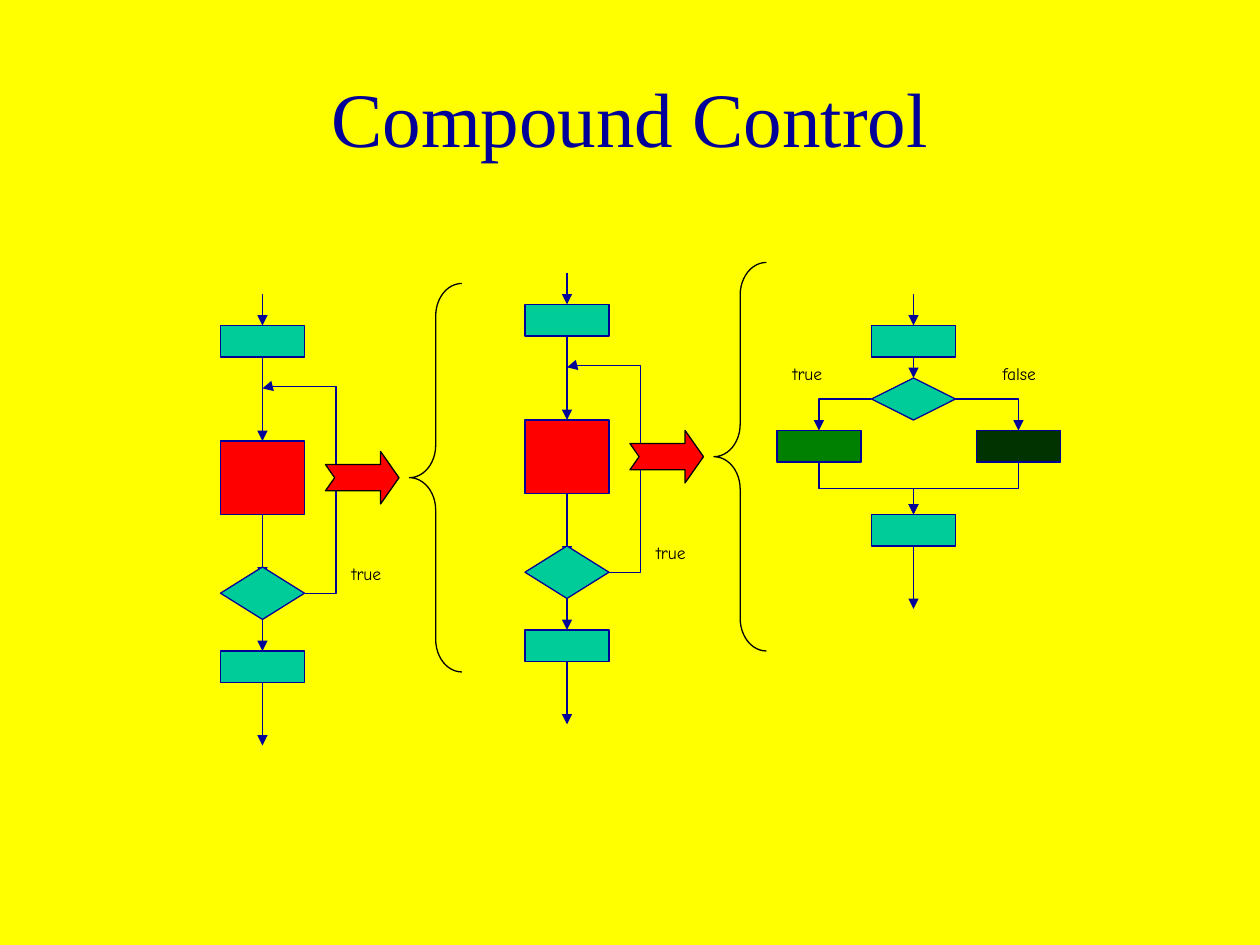
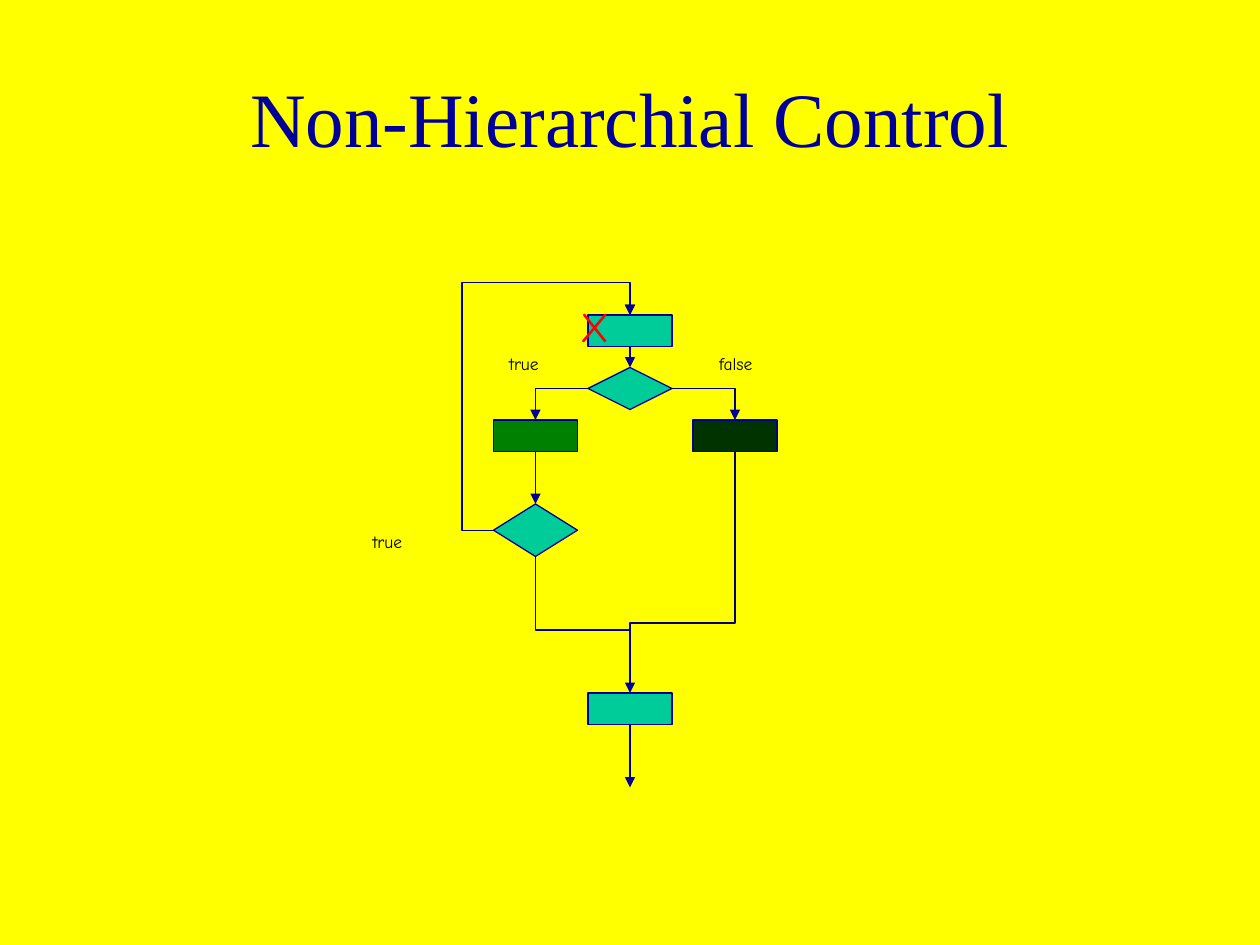
from pptx import Presentation
from pptx.dml.color import RGBColor
from pptx.enum.shapes import MSO_CONNECTOR as Connector, MSO_SHAPE as Preset
from pptx.enum.text import MSO_ANCHOR as Anchor, MSO_AUTO_SIZE as AutoSize, PP_ALIGN as Align
from pptx.oxml.ns import qn
from pptx.util import Inches, Pt
from lxml.etree import SubElement

YELLOW = RGBColor(0xFF, 0xFF, 0x00)
NAVY = RGBColor(0x00, 0x00, 0x99)
TEAL = RGBColor(0x00, 0xCC, 0x99)
RED = RGBColor(0xFF, 0x00, 0x00)
GREEN = RGBColor(0x00, 0x80, 0x00)
DARK_GREEN = RGBColor(0x00, 0x33, 0x00)
BLACK = RGBColor(0x00, 0x00, 0x00)

WIDTH, HEIGHT = Inches(10), Inches(7.5)
CELL = WIDTH // 120
TITLE_FONT, LABEL_FONT = "Times New Roman", "Comic Neue"
LINE_WIDTH = Pt(0.75)
BOX_WIDTH, BOX_HEIGHT = 8, 3
TOP, LEFT, BOTTOM, RIGHT = range(4)
SITES = ((0.5, 0), (0, 0.5), (0.5, 1), (1, 0.5))


class Region:
    """A part of a slide whose parts are placed in grid cells from its corner."""

    def __init__(self, slide, column, row):
        """Remember the slide and the corner of the region."""
        self.shapes = slide.shapes
        self.column, self.row = column, row

    def point(self, column, row):
        """Return the slide position of a cell of the region."""
        return round((self.column + column) * CELL), round((self.row + row) * CELL)

    def add_shape(self, preset, column, row, width, height, fill, line=NAVY):
        """Draw a preset shape; no fill colour leaves it open."""
        shape = self.shapes.add_shape(
            preset, *self.point(column, row), width * CELL, height * CELL)
        shape.shadow.inherit = False
        if fill is None:
            shape.fill.background()
        else:
            shape.fill.solid()
            shape.fill.fore_color.rgb = fill
        shape.line.color.rgb = line
        shape.line.width = LINE_WIDTH
        return shape

    def add_box(self, column, row, fill=TEAL, height=BOX_HEIGHT):
        """Draw a process step."""
        return self.add_shape(
            Preset.FLOWCHART_PROCESS, column, row, BOX_WIDTH, height, fill)

    def add_decision(self, column, row, height):
        """Draw a decision diamond."""
        return self.add_shape(
            Preset.FLOWCHART_DECISION, column, row, BOX_WIDTH, height, TEAL)

    def add_text(self, text, column, row, width, height, size, color):
        """Write unwrapped text and return its frame."""
        box = self.shapes.add_textbox(
            *self.point(column, row), round(width * CELL), round(height * CELL))
        frame = box.text_frame
        frame.word_wrap = False
        frame.text = text
        font = frame.paragraphs[0].font
        font.name, font.size = LABEL_FONT, Pt(size)
        font.color.rgb = color
        return frame

    def add_label(self, text, column, row, width=5.2):
        """Write the small label of a decision's way out."""
        frame = self.add_text(text, column, row, width, 3.2, 10, BLACK)
        frame.auto_size = AutoSize.SHAPE_TO_FIT_TEXT

    def locate(self, end):
        """Return the position of an end: a (shape, site) pair or a cell."""
        if isinstance(end[0], (int, float)):
            return self.point(*end)
        shape, site = end
        across, down = SITES[site]
        return (round(shape.left + across * shape.width),
                round(shape.top + down * shape.height))

    def connect(self, begin, end, bend=None, adjust=(), upright=False, arrow=True):
        """Draw a line or a bent connector; upright ones leave vertically."""
        kind = Connector.ELBOW if bend else Connector.STRAIGHT
        start, stop = self.locate(begin), self.locate(end)
        connector = self.shapes.add_connector(kind, *start, *stop)
        if not isinstance(begin[0], (int, float)):
            connector.begin_connect(*begin)
        if not isinstance(end[0], (int, float)):
            connector.end_connect(*end)
        connector.line.color.rgb = NAVY
        connector.line.width = LINE_WIDTH
        properties = connector._element.spPr
        if bend:
            geometry = properties.find(qn("a:prstGeom"))
            geometry.set("prst", f"bentConnector{bend}")
            guides = geometry.find(qn("a:avLst"))
            for number, share in enumerate(adjust, 1):
                SubElement(guides, qn("a:gd"), name=f"adj{number}",
                           fmla=f"val {round(share * 100000)}")
        if upright:
            turn_upright(connector, start, stop)
        if arrow:
            line = properties.find(qn("a:ln"))
            SubElement(line, qn("a:tailEnd"), type="triangle")
        SubElement(properties, qn("a:effectLst"))


def turn_upright(connector, start, stop):
    """Turn a bent connector a quarter so that it leaves downwards."""
    across, down = abs(stop[0] - start[0]), abs(stop[1] - start[1])
    connector.left = (start[0] + stop[0] - down) // 2
    connector.top = (start[1] + stop[1] - across) // 2
    connector.width, connector.height = down, across
    transform = connector._element.spPr.find(qn("a:xfrm"))
    transform.set("rot", str(90 * 60000))
    transform.set("flipH", "0")
    transform.set("flipV", "1" if stop[0] > start[0] else "0")


def add_slide(presentation, title):
    """Add a title-only slide with the shared title style."""
    slide = presentation.slides.add_slide(presentation.slide_layouts[5])
    placeholder = slide.shapes.title
    placeholder.left, placeholder.top = round(WIDTH * 0.075), 8 * CELL
    placeholder.width, placeholder.height = round(WIDTH * 0.85), 15 * CELL
    frame = placeholder.text_frame
    frame.text = title
    frame.auto_size = AutoSize.NONE
    frame.vertical_anchor = Anchor.MIDDLE
    paragraph = frame.paragraphs[0]
    paragraph.add_line_break()
    paragraph.alignment = Align.CENTER
    paragraph.font.name, paragraph.font.size = TITLE_FONT, Pt(44)
    paragraph.font.color.rgb = NAVY
    return slide


def draw_loop(slide, column, row):
    """Draw a loop whose red body is expanded by the brace beside it."""
    region = Region(slide, column, row)
    middle = BOX_WIDTH / 2
    first = region.add_box(0, 3)
    body = region.add_box(0, 14, RED, 7)
    last = region.add_box(0, 34)
    region.connect((middle, 0), (first, TOP))
    region.connect((first, BOTTOM), (body, TOP))
    region.connect((body, BOTTOM), (middle, 27))
    test = region.add_decision(0, 26, 5)
    region.connect((test, BOTTOM), (last, TOP))
    region.connect((last, BOTTOM), (middle, 43))
    region.connect((test, RIGHT), (middle, 9), bend=4, adjust=(-0.75, 1.01))
    region.add_label("true", 11.3, 25)
    brace = region.add_shape(Preset.LEFT_BRACE, 18, -1, 5, 37, None, BLACK)
    brace.adjustments[0] = 0.62
    arrow = region.add_shape(Preset.NOTCHED_RIGHT_ARROW, 10, 15, 7, 5, RED, BLACK)
    arrow.adjustments[1] = 0.35


def draw_branch(slide, column, row, last_row):
    """Draw a two-way branch and return its region and the boxes to be joined."""
    region = Region(slide, column, row)
    first = region.add_box(9, 3)
    last = region.add_box(9, last_row)
    test = region.add_decision(9, 8, 4)
    no_box = region.add_box(19, 13, DARK_GREEN)
    yes_box = region.add_box(0, 13, GREEN)
    region.connect((13, 0), (first, TOP))
    region.connect((first, BOTTOM), (test, TOP))
    region.connect((last, BOTTOM), (13, last_row + 9))
    region.connect((test, RIGHT), (no_box, TOP), bend=2)
    region.connect((test, LEFT), (yes_box, TOP), bend=2)
    region.add_label("true", 0.3, 6)
    region.add_label("false", 20.3, 6, width=5.6)
    return region, first, yes_box, no_box, last


def build_compound(presentation):
    """Build the slide with two nested loops and a branch."""
    slide = add_slide(presentation, "Compound Control")
    draw_loop(slide, 21, 28)
    draw_loop(slide, 50, 26)
    region, _, yes_box, no_box, last = draw_branch(slide, 74, 28, 21)
    region.connect((13, 19), (last, TOP))
    for box, arrow in ((yes_box, True), (no_box, False)):
        region.connect((box, BOTTOM), (last, TOP), bend=3, adjust=(0.5,),
                       upright=True, arrow=arrow)


def build_non_hierarchical(presentation):
    """Build the slide whose branch jumps back to its start."""
    slide = add_slide(presentation, "Non-Hierarchial Control")
    region, first, yes_box, no_box, last = draw_branch(slide, 47, 27, 39)
    test = region.add_decision(0, 21, 5)
    region.connect((yes_box, BOTTOM), (test, TOP))
    region.connect((test, LEFT), (first, TOP), bend=4, adjust=(-0.23, 1.15))
    region.connect((no_box, BOTTOM), (last, TOP), bend=3, adjust=(0.71,), upright=True)
    region.connect((test, BOTTOM), (13, 33), bend=2, upright=True, arrow=False)
    region.add_label("true", -12.7, 23)
    cross = region.add_text("X", -4, 1, 27.4, 30.2, 24, RED)
    cross.paragraphs[0].alignment = Align.CENTER


def main():
    """Build and save the presentation."""
    presentation = Presentation()
    presentation.slide_width, presentation.slide_height = WIDTH, HEIGHT
    background = presentation.slide_master.background.fill
    background.solid()
    background.fore_color.rgb = YELLOW
    build_compound(presentation)
    build_non_hierarchical(presentation)
    presentation.save("out.pptx")


if __name__ == "__main__":
    main()
